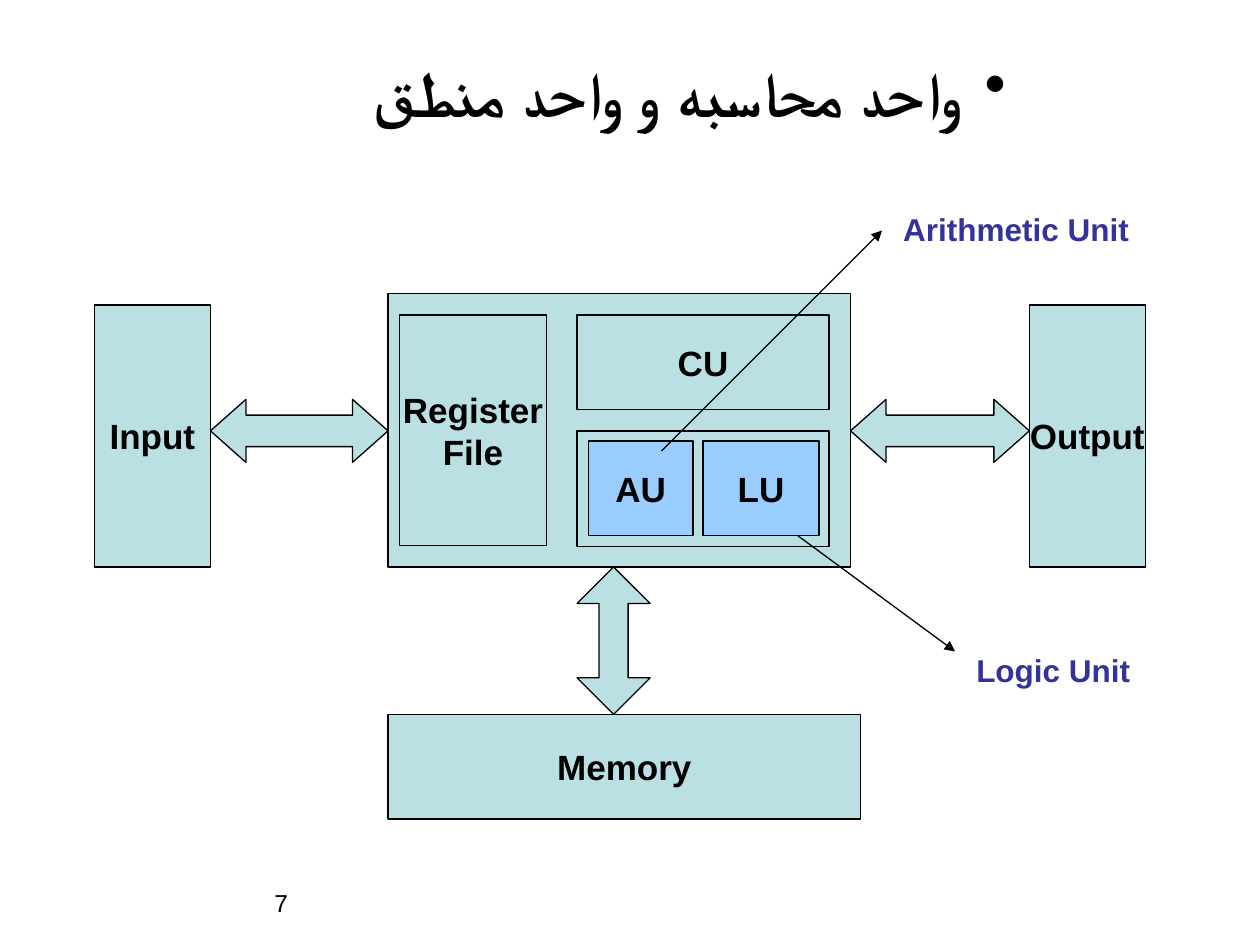
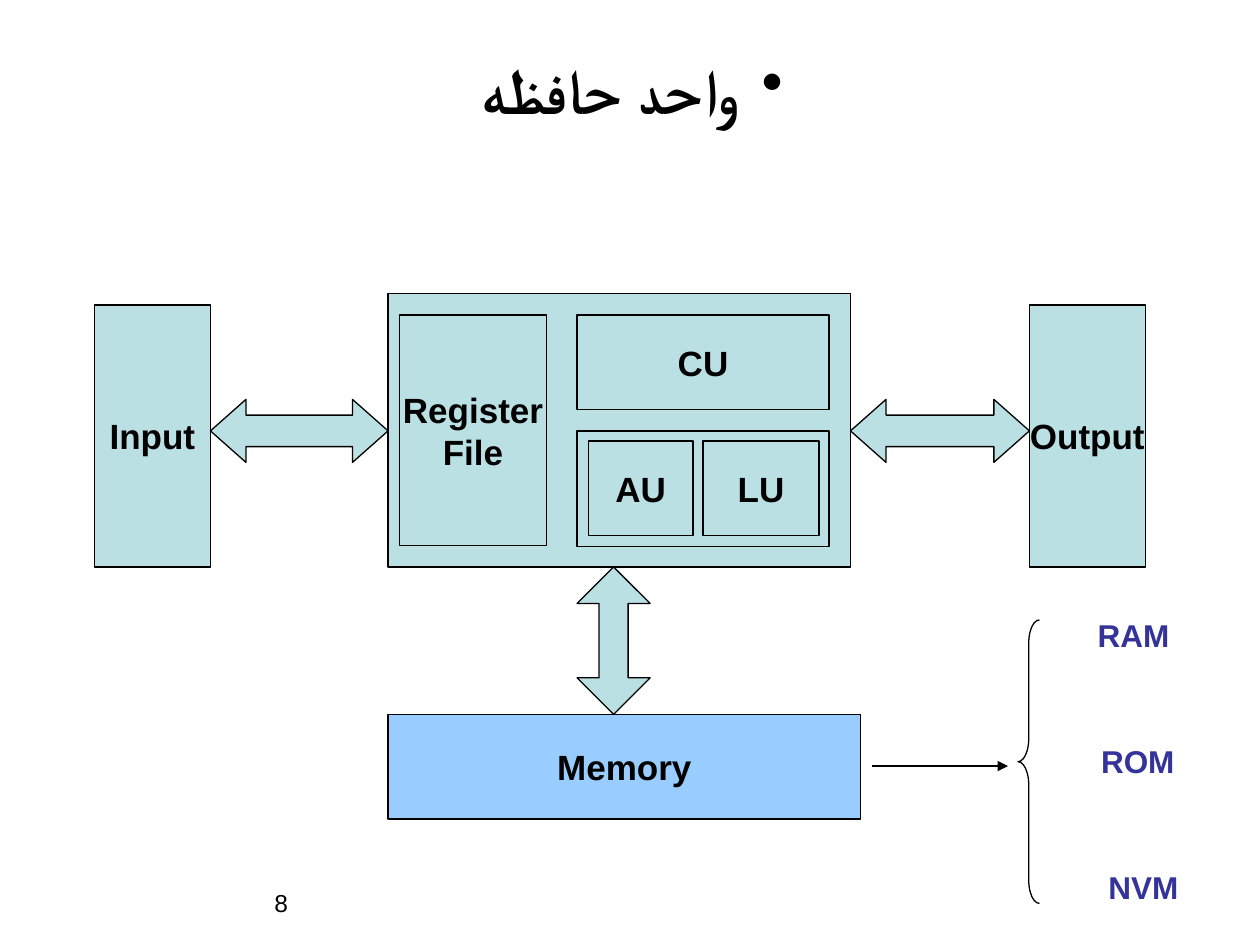
import pptx
import pptx.util
import pptx.dml.color
import pptx.enum.shapes
import pptx.enum.text
import pptx.oxml.ns
from lxml import etree

Inches, Pt = pptx.util.Inches, pptx.util.Pt
SHAPE = pptx.enum.shapes.MSO_SHAPE
ALIGN = pptx.enum.text.PP_ALIGN
ANCHOR = pptx.enum.text.MSO_ANCHOR
AUTO_SIZE = pptx.enum.text.MSO_AUTO_SIZE
qn = pptx.oxml.ns.qn

# Content: each slide has its own title, highlighted units and callouts
COLORS = {"ink": "000000", "unit": "BBE0E3", "highlight": "99CCFF", "callout": "333399"}
FONT = "Arial"

SLIDES = [
    {
        "number": "7",
        "title": ("واحد محاسبه و واحد منطق", (1.08, 0.38, 7.01, 0.7)),
        "highlighted": ("AU", "LU"),
        "callouts": [("Logic Unit", (7.65, 5.12, 1.42, 0.4)),
                     ("Arithmetic Unit", (7.07, 1.62, 1.99, 0.4))],
        "pointers": [((6.33, 4.25), (7.58, 5.17)), ((5.25, 3.58), (7, 1.83))],
    },
    {
        "number": "8",
        "title": ("واحد حافظه", (2.81, 0.36, 3.51, 0.7)),
        "highlighted": ("Memory",),
        "brace": (8.08, 4.92, 0.17, 2.25),
        "memory_kinds": [("RAM", 9.38), ("ROM", 9.42), ("NVM", 9.45)],
        "pointers": [((6.92, 6.08), (8, 6.08))],
    },
]
KINDS_TOP, KINDS_STEP, KINDS_WIDTH = 4.84, 1, 1.52
NUMBER_BOX = (2.08, 7, 1.5, 0.5)

# Computer block diagram: unit -> left, top, width, height
PROCESSOR = (3.08, 2.33, 3.67, 2.17)
INPUT = (0.75, 2.42, 0.92, 2.08)
OUTPUT = (8.17, 2.42, 0.92, 2.08)
MEMORY = (3.08, 5.67, 3.75, 0.83)
OUTER_UNITS = [("", PROCESSOR), ("Input", INPUT), ("Output", OUTPUT), ("Memory", MEMORY)]
INNER_UNITS = [
    ("Register\nFile", (3.17, 2.5, 1.17, 1.83)),
    ("CU", (4.58, 2.5, 2, 0.75)),
    ("", (4.58, 3.42, 2, 0.92)),
    ("AU", (4.67, 3.5, 0.83, 0.75)),
    ("LU", (5.58, 3.5, 0.92, 0.75)),
]


def right(box):
    return box[0] + box[2]


def bottom(box):
    return box[1] + box[3]


# Buses fill the gaps between the outer units
BUS_TOP, BUS_HEIGHT = 3.17, 0.5
BUSES = [(SHAPE.LEFT_RIGHT_ARROW, 0.564,
          (right(a), BUS_TOP, b[0] - right(a), BUS_HEIGHT))
         for a, b in ((INPUT, PROCESSOR), (PROCESSOR, OUTPUT))]
BUSES.append((SHAPE.UP_DOWN_ARROW, 0.398,
              (4.58, bottom(PROCESSOR), 0.58, MEMORY[1] - bottom(PROCESSOR))))

# Text formats
UNIT_TEXT = {"size": Pt(20), "bold": True}
CALLOUT_TEXT = {"size": Pt(18), "bold": True}
TITLE_TEXT = {"size": Pt(36), "bold": True}
NUMBER_TEXT = {"size": Pt(14), "bold": False}
UNIT_FRAME = {"word_wrap": False, "vertical_anchor": ANCHOR.MIDDLE}
LABEL_FRAME = {"word_wrap": False, "auto_size": AUTO_SIZE.SHAPE_TO_FIT_TEXT}


def apply(target, formats):
    for name, value in formats.items():
        setattr(target, name, value)


def rgb(color):
    return pptx.dml.color.RGBColor.from_string(COLORS[color])


def write(shape, text, frame_format, font_format, color="ink", align=None):
    frame = shape.text_frame
    frame.text = text
    apply(frame, frame_format)
    for paragraph in frame.paragraphs:
        paragraph.alignment = align
        for run in paragraph.runs:
            apply(run.font, {"name": FONT, **font_format})
            run.font.color.rgb = rgb(color)
            etree.SubElement(run.font._element, qn("a:cs"), typeface=FONT)


def add_label(slide, text, box, frame_format, font_format, color="ink", align=None):
    label = slide.shapes.add_textbox(*map(Inches, box))
    write(label, text, frame_format, font_format, color, align)
    return label.text_frame.paragraphs[0]


def make_rtl(paragraph, space_before, bullet=None):
    paragraph.space_before = Pt(space_before)
    properties = paragraph._p.get_or_add_pPr()
    hang = Inches(0.38)
    for name, value in {"rtl": 1, "marL": hang, "indent": -hang}.items():
        properties.set(name, str(int(value)))
    if bullet:
        bullet_color = etree.SubElement(properties, qn("a:buClr"))
        etree.SubElement(bullet_color, qn("a:srgbClr"), val=COLORS["ink"])
        etree.SubElement(properties, qn("a:buChar"), char=bullet)


def add_figure(slide, preset, box, fill="unit", adjustments=()):
    figure = slide.shapes.add_shape(preset, *map(Inches, box))
    figure.shadow.inherit = False
    if fill:
        figure.fill.solid()
        figure.fill.fore_color.rgb = rgb(fill)
    else:
        figure.fill.background()
    figure.line.color.rgb = rgb("ink")
    figure.line.width = Pt(0.75)
    for index, value in enumerate(adjustments):
        figure.adjustments[index] = value
    return figure


def add_units(slide, units, highlighted):
    for name, box in units:
        fill = "highlight" if name in highlighted else "unit"
        unit = add_figure(slide, SHAPE.RECTANGLE, box, fill)
        if name:
            write(unit, name, UNIT_FRAME, UNIT_TEXT, align=ALIGN.CENTER)


def add_pointer(slide, start, end):
    pointer = slide.shapes.add_connector(
        pptx.enum.shapes.MSO_CONNECTOR.STRAIGHT, *map(Inches, start + end))
    pointer.line.color.rgb = rgb("ink")
    pointer.line.width = Pt(0.75)
    etree.SubElement(pointer.line._get_or_add_ln(), qn("a:tailEnd"), type="triangle")
    etree.SubElement(pointer._element.spPr, qn("a:effectLst"))


def build_slide(deck, content):
    slide = deck.slides.add_slide(deck.slide_layouts[6])
    add_label(slide, content["number"], NUMBER_BOX, {"word_wrap": True}, NUMBER_TEXT)

    # Block diagram
    add_units(slide, OUTER_UNITS, content["highlighted"])
    for preset, head, box in BUSES:
        add_figure(slide, preset, box, adjustments=(0.5, head))
    add_units(slide, INNER_UNITS, content["highlighted"])

    # Callouts
    if "brace" in content:
        add_figure(slide, SHAPE.LEFT_BRACE, content["brace"], None, (1.08, 0.5))
    for row, (kind, edge) in enumerate(content.get("memory_kinds", [])):
        box = (edge - KINDS_WIDTH, KINDS_TOP + row * KINDS_STEP, KINDS_WIDTH, 0.4)
        make_rtl(add_label(slide, kind, box, LABEL_FRAME, CALLOUT_TEXT,
                           "callout", ALIGN.RIGHT), 4.5)
    for text, box in content.get("callouts", []):
        add_label(slide, text, box, LABEL_FRAME, CALLOUT_TEXT, "callout")
    for start, end in content["pointers"]:
        add_pointer(slide, start, end)

    # Title
    text, box = content["title"]
    make_rtl(add_label(slide, text, box, LABEL_FRAME, TITLE_TEXT, align=ALIGN.RIGHT), 9, "•")


def main():
    deck = pptx.Presentation()
    apply(deck, {"slide_width": Inches(10), "slide_height": Inches(7.5)})
    for content in SLIDES:
        build_slide(deck, content)
    deck.save("out.pptx")


if __name__ == "__main__":
    main()
